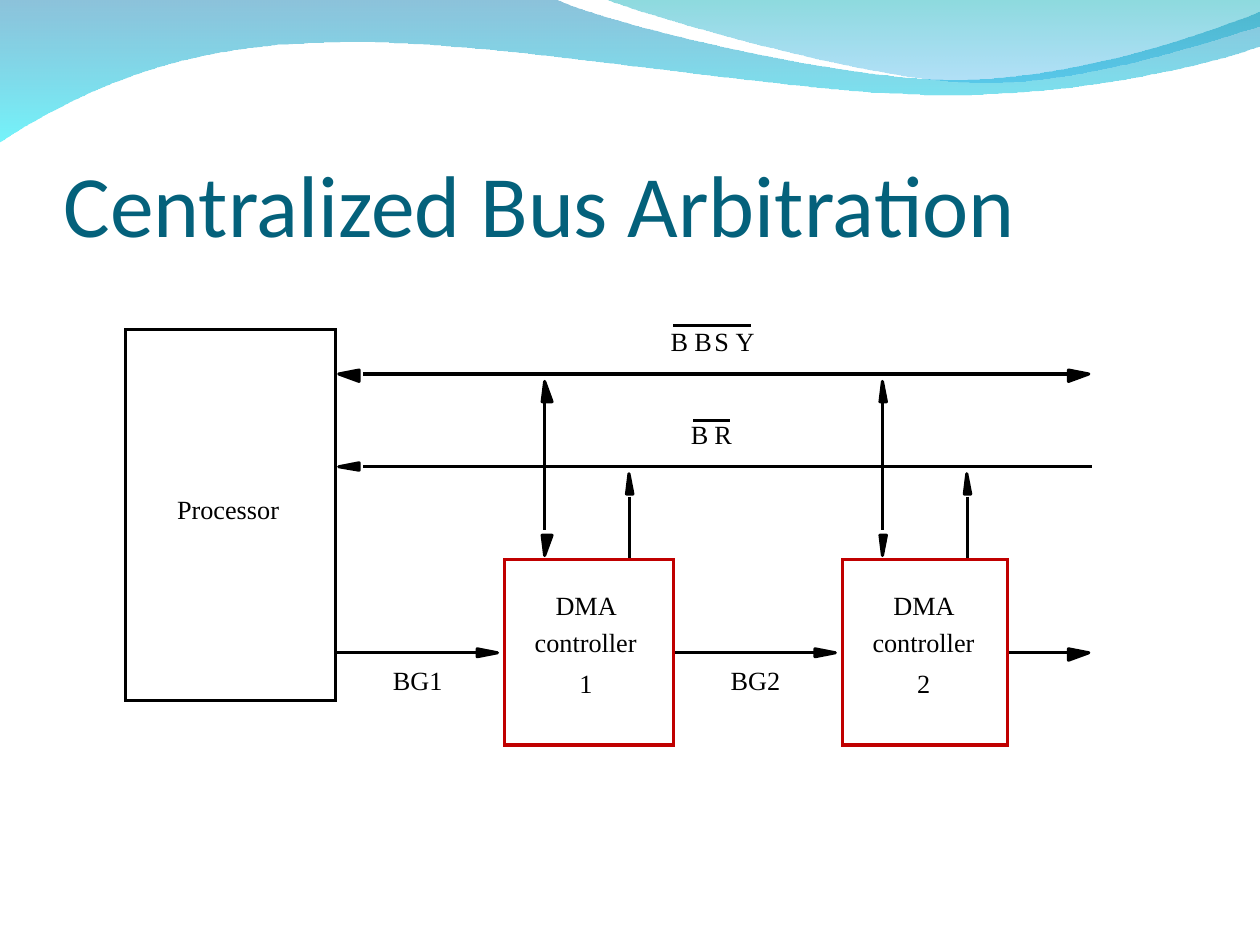
import pptx
import pptx.util
import pptx.dml.color
import pptx.enum.shapes
import pptx.enum.text
import pptx.oxml
import pptx.oxml.ns

Cm = pptx.util.Cm
Pt = pptx.util.Pt
qn = pptx.oxml.ns.qn
thick = Pt(1.76)
step = 6.81  # from one controller to the next


def tint(text):
    return pptx.dml.color.RGBColor.from_string(text)


def trace(points):
    spots = [(Cm(x), Cm(y)) for x, y in points]
    pen = shapes.build_freeform(*spots[0])
    pen.add_line_segments(spots[1:], close=True)
    form = pen.convert_to_shape()
    form.shadow.inherit = False
    return form


deck = pptx.Presentation()
deck.slide_width, deck.slide_height = Cm(25.4), Cm(19.05)
slide = deck.slides.add_slide(deck.slide_layouts[6])
shapes = slide.shapes

# Waves: two numbers make a straight step, six make a curve
waves = [
    ([(0, -0.03), (11.18, -0.03), (12.09, 0.43, 16.87, 1.6, 19.25, 1.6),
      (21.67, 1.6, 24.33, 0.66, 25.4, 0.23), (25.43, 0.91),
      (24.97, 1.12, 22.1, 1.93, 18.95, 1.91),
      (15.8, 1.91, 9.7, 0.71, 6.53, 0.86),
      (3.28, 0.89, 1.17, 2.11, -0.03, 2.87)],
     [("0079AF", 45), ("00EBF8", 55)]),
    ([(12.17, -0.03), (12.93, 0.28, 17.32, 1.57, 19.53, 1.65),
      (21.74, 1.75, 24.41, 0.81, 25.4, 0.53), (25.4, 0)],
     [("00ADB6", 45), ("009BE5", 30)]),
]
for moves, stops in waves:
    points = []
    for move in moves:
        if len(move) == 2:
            points.append(move)
            continue
        knots = [points[-1], move[:2], move[2:4], move[4:]]
        for i in range(1, 31):
            t = i / 30
            parts = [(1 - t) ** 3, 3 * t * (1 - t) ** 2,
                     3 * t * t * (1 - t), t ** 3]
            points.append(tuple(sum(p * k[axis] for p, k in zip(parts, knots))
                                for axis in (0, 1)))
    wave = trace(points)
    wave.line.fill.background()
    wave.fill.gradient()
    wave.fill.gradient_angle = 270
    for stop, (shade, _) in zip(wave.fill.gradient_stops, stops):
        stop.color.rgb = tint(shade)
    shades = wave.element.spPr.find(qn("a:gradFill")).iter(qn("a:srgbClr"))
    for node, (_, share) in zip(shades, stops):
        alpha = node.makeelement(qn("a:alpha"), {"val": str(share * 1000)})
        node.append(alpha)

# Arrowheads: tip, direction, reach to the up/left and down/right side
heads = [
    (21.95, 7.54, 1, 0, 0.08, 0.15),
    (6.83, 7.54, -1, 0, 0.08, 0.15),
    (6.83, 9.41, -1, 0, 0.08, 0.07),
    (21.95, 13.16, 1, 0, 0.08, 0.15),
]
for i, right in enumerate((0.15, 0.08)):
    gap = i * step
    heads += [
        (10.03 + gap, 13.16, 1, 0, 0.08, 0.08),
        (10.98 + gap, 11.2, 0, 1, 0.05, right),
        (10.98 + gap, 7.69, 0, -1, 0.05, right),
        (12.68 + gap, 9.55, 0, -1, 0.05, 0.08),
    ]
for x, y, dx, dy, low, high in heads:
    bx, by = x - 0.41 * dx, y - 0.41 * dy
    px, py = abs(dy), abs(dx)
    head = trace([(bx + high * px, by + high * py), (x, y),
                  (bx - low * px, by - low * py), (bx, by)])
    head.fill.solid()
    head.fill.fore_color.rgb = tint("000000")
    head.line.color.rgb = tint("000000")
    head.line.width = thick

# Bus lines, links and the bars over signal names
lines = [
    (7.32, 7.54, 21.54, 7.54),
    (7.32, 9.41, 22.02, 9.41),
    (20.32, 13.16, 21.54, 13.16),
    (13.57, 6.56, 15.13, 6.56),
    (13.98, 8.47, 14.72, 8.47),
]
for gap in (0, step):
    lines += [
        (6.76 + gap, 13.16, 9.63 + gap, 13.16),
        (10.98 + gap, 8.13, 10.98 + gap, 10.69),
        (12.69 + gap, 10.01, 12.69 + gap, 11.28),
    ]
for ends in lines:
    wire = shapes.add_connector(pptx.enum.shapes.MSO_CONNECTOR.STRAIGHT,
                                *[Cm(v) for v in ends])
    wire.line.color.rgb = tint("000000")
    wire.line.width = thick
    wire.element.spPr.append(pptx.oxml.parse_xml(
        '<a:effectLst xmlns:a='
        '"http://schemas.openxmlformats.org/drawingml/2006/main"/>'))

# Boxes with sharp corners
boxes = [
    (10.17, 11.28, 3.4, 3.74, "C00000"),
    (10.17 + step, 11.28, 3.34, 3.74, "C00000"),
    (2.54, 6.64, 4.22, 7.48, "000000"),
]
for *place, shade in boxes:
    box = shapes.add_shape(pptx.enum.shapes.MSO_SHAPE.RECTANGLE,
                           *[Cm(v) for v in place])
    box.shadow.inherit = False
    box.fill.background()
    box.line.color.rgb = tint(shade)
    box.line.width = thick
    rim = box.element.spPr.find(qn("a:ln"))
    rim.append(rim.makeelement(qn("a:miter"), {"lim": "800000"}))

# Title and labels
anchor = pptx.enum.text.MSO_ANCHOR
grow = pptx.enum.text.MSO_AUTO_SIZE
big = {"frame": {"word_wrap": True, "vertical_anchor": anchor.BOTTOM,
                 "margin_top": Cm(0.13)},
       "font": {"size": Pt(50), "name": "Calibri"}, "shade": "04617B"}
small = {"frame": {"word_wrap": False, "vertical_anchor": anchor.TOP,
                   "margin_top": 0, "auto_size": grow.SHAPE_TO_FIT_TEXT},
         "font": {"size": Pt(15), "name": "Times New Roman"},
         "shade": "000000"}
edges = {"margin_left": 0, "margin_right": 0, "margin_bottom": 0}
texts = [
    ("Centralized Bus Arbitration", 1.28, 1.96, 22.86, 3.18, big),
    ("Processor", 3.57, 9.95, 2.08, 0.64, small),
]
for i in range(2):
    gap = i * step
    texts += [
        ("DMA", 11.2 + gap, 11.88, 1.26, 0.64, small),
        ("controller", 10.78 + gap, 12.62, 2.08, 0.64, small),
        (str(i + 1), 11.68 + gap, 13.46, 0.28, 0.64, small),
        (f"BG{i + 1}", 7.92 + gap, 13.39, 1.04, 0.64, small),
    ]
marks = [("BBSY", (13.52, 14, 14.4, 14.83), 6.55), ("BR", (13.93, 14.4), 8.43)]
for word, lefts, top in marks:
    for sign, left in zip(word, lefts):
        texts.append((sign, left, top, 0.38, 0.64, small))
for words, *place, style in texts:
    label = shapes.add_textbox(*[Cm(v) for v in place])
    frame = label.text_frame
    for key, value in {**edges, **style["frame"]}.items():
        setattr(frame, key, value)
    run = frame.paragraphs[0].add_run()
    run.text = words
    for key, value in style["font"].items():
        setattr(run.font, key, value)
    run.font.color.rgb = tint(style["shade"])

deck.save("out.pptx")
